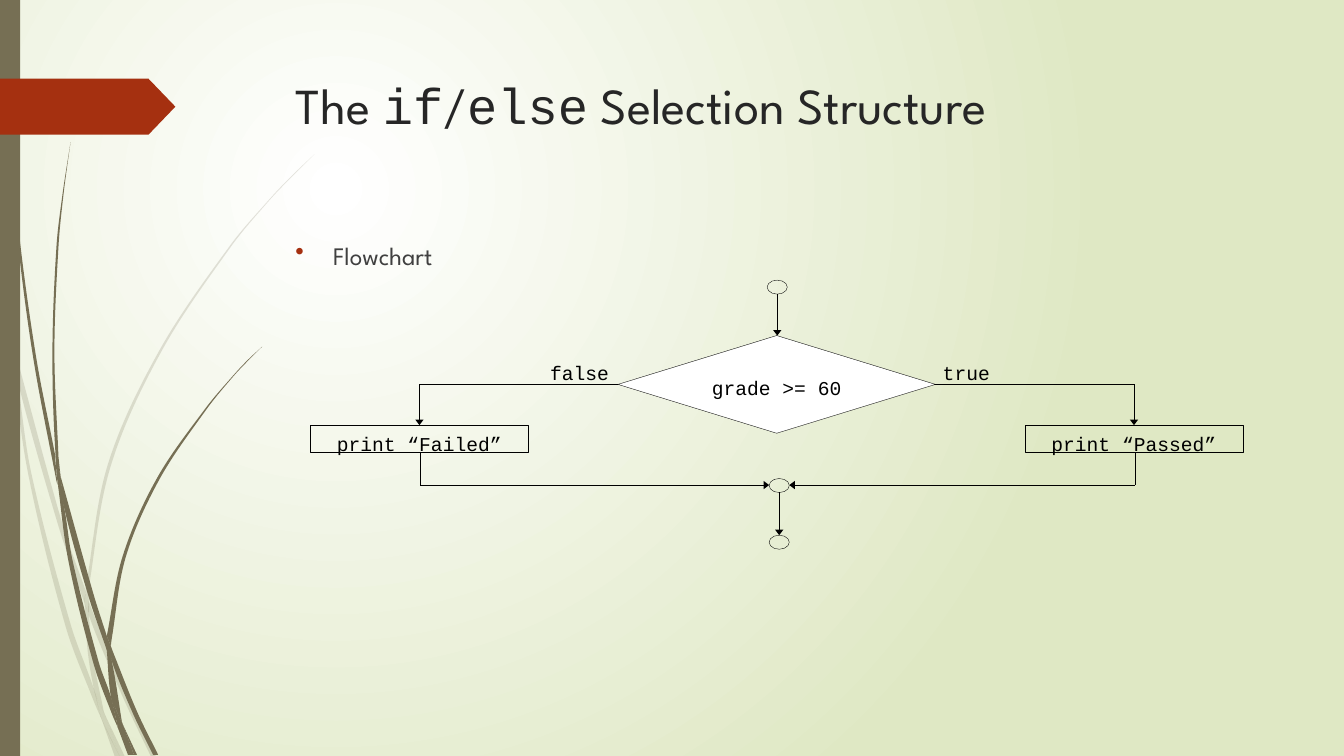
from math import dist

from lxml import etree
from pptx import Presentation
from pptx.dml.color import RGBColor
from pptx.enum.shapes import MSO_CONNECTOR, MSO_SHAPE
from pptx.enum.text import MSO_ANCHOR, PP_ALIGN
from pptx.oxml import parse_xml
from pptx.oxml.ns import nsdecls, qn
from pptx.util import Pt

STRAIGHT = MSO_CONNECTOR.STRAIGHT
RECTANGLE, OVAL = MSO_SHAPE.RECTANGLE, MSO_SHAPE.OVAL
DIAMOND, PENTAGON = MSO_SHAPE.DIAMOND, MSO_SHAPE.PENTAGON
TOP = MSO_ANCHOR.TOP
LEFT, CENTER = PP_ALIGN.LEFT, PP_ALIGN.CENTER

BLACK = RGBColor(0x00, 0x00, 0x00)
WHITE = RGBColor(0xFF, 0xFF, 0xFF)
PALE_GREEN = RGBColor(0xDF, 0xE8, 0xC4)
OLIVE = RGBColor(0x76, 0x6F, 0x54)
RUST = RGBColor(0xA5, 0x30, 0x10)
TITLE_GRAY = RGBColor(0x26, 0x26, 0x26)
BODY_GRAY = RGBColor(0x40, 0x40, 0x40)

SANS, MONO = "League Spartan", "Courier New"
GRID = Pt(0.72)

FAINT_BLADES = [
    ([(11, 350), (9, 322), (0, 282)], [(0, 299), (10, 344), (11, 350)]),
    ([(14, 345), (17, 376), (58, 522), (84, 599)], [(85, 586), (62, 520), (14, 345)]),
    ([(88, 596), (88, 610), (123, 694), (150, 751)], [(155, 751), (127, 692), (92, 607), (88, 596)]),
    ([(119, 751), (124, 751)], [(105, 711), (119, 751)]),
    ([(11, 350), (28, 470), (65, 621), (92, 693), (101, 714)],
     [(99, 707), (93, 683), (70, 619), (31, 469), (17, 376), (11, 350)]),
    ([(84, 599), (87, 646), (93, 683), (96, 692), (105, 711)],
     [(103, 706), (91, 646), (88, 610), (84, 599)]),
    ([(312, 153), (289, 175), (268, 197), (228, 244), (158, 348), (107, 461), (85, 584)],
     [(88, 596), (88, 584), (110, 462), (160, 349), (229, 245), (268, 198), (290, 175),
      (312, 153)]),
    ([(101, 714), (114, 751)], [(119, 751), (101, 714)]),
    ([(85, 586), (84, 599), (88, 608)], [(88, 610), (88, 596), (85, 586)]),
    ([(93, 683), (99, 707), (101, 714), (119, 751)], [(105, 711), (96, 692), (93, 683)]),
]
SOLID_BLADES = [
    ([(3, 0), (4, 48), (7, 110), (17, 233), (33, 355), (56, 477), (57, 481)],
     [(55, 457), (55, 453), (36, 355), (19, 232), (8, 109), (5, 48), (4, 0)]),
    ([(60, 472), (64, 505), (88, 592), (106, 645)], [(106, 631), (93, 590), (60, 472)]),
    ([(110, 641), (111, 656), (132, 708), (152, 749)],
     [(157, 749), (136, 706), (113, 649), (110, 641)]),
    ([(57, 477), (68, 557), (93, 659), (111, 708), (117, 722)],
     [(116, 717), (110, 691), (98, 657), (72, 556), (64, 505), (57, 477)]),
    ([(70, 141), (62, 193), (56, 245), (52, 349), (55, 449), (60, 472)],
     [(58, 453), (54, 349), (58, 245), (63, 193), (70, 141)]),
    ([(133, 749), (136, 749)], [(122, 719), (133, 749)]),
    ([(55, 449), (57, 477), (64, 505)], [(60, 472), (55, 449)]),
    ([(260, 344), (245, 358), (231, 373), (204, 405), (156, 474), (122, 551), (106, 631)],
     [(110, 641), (111, 633), (125, 552), (158, 476), (205, 406), (231, 374), (245, 359),
      (260, 344)]),
    ([(117, 722), (127, 749)], [(131, 749), (117, 722)]),
    ([(106, 645), (110, 691), (116, 706), (122, 719)], [(121, 716), (111, 656), (106, 645)]),
    ([(106, 631), (106, 645), (111, 656)], [(110, 641), (106, 631)]),
    ([(110, 691), (116, 717), (117, 722), (130, 749)],
     [(133, 749), (122, 719), (116, 706), (110, 691)]),
]


def paint(shape, fill=None, line=None):
    shape.shadow.inherit = False
    if fill is None:
        shape.fill.background()
    else:
        shape.fill.solid()
        shape.fill.fore_color.rgb = fill
    if line is None:
        shape.line.fill.background()
    else:
        shape.line.color.rgb = line
        shape.line.width = Pt(0.25)


def add_block(page, kind, left, top, width, height, fill=None, line=None):
    block = page.shapes.add_shape(kind, Pt(left), Pt(top), Pt(width), Pt(height))
    paint(block, fill, line)
    return block


def edge_handles(knots):
    padded = [knots[0], *knots, knots[-1]]
    slopes = [tuple((after - before) / (dist(a, b) + dist(b, c)) for before, after in zip(a, c))
              for a, b, c in zip(padded, padded[1:], padded[2:])]
    handles = []
    for start, end, leave, arrive in zip(knots, knots[1:], slopes, slopes[1:]):
        reach = dist(start, end) / 3
        handles.append([tuple(p + s * reach for p, s in zip(start, leave)),
                        tuple(p - s * reach for p, s in zip(end, arrive))])
    return handles


def add_blade(page, left_edge, right_edge, alpha):
    outline = [(x * GRID, y * GRID) for x, y in left_edge + right_edge]
    builder = page.shapes.build_freeform(*outline[0])
    builder.add_line_segments(outline[1:])
    blade = builder.convert_to_shape()
    paint(blade, OLIVE)
    handles = edge_handles(left_edge) + [None] + edge_handles(right_edge)
    segments = list(blade._element.spPr.iter(qn("a:lnTo")))
    for segment, pair in zip(segments, handles):
        if pair is None:
            continue
        curve = etree.Element(qn("a:cubicBezTo"))
        for x, y in pair:
            point = etree.SubElement(curve, qn("a:pt"))
            point.set("x", str(round(x * GRID - blade.left)))
            point.set("y", str(round(y * GRID - blade.top)))
        curve.append(segment[0])
        segment.getparent().replace(segment, curve)
    if alpha < 100:
        color = blade.fill._xPr.find(qn("a:solidFill"))[0]
        etree.SubElement(color, qn("a:alpha")).set("val", str(alpha * 1000))


def set_background(page):
    page.element.cSld.insert(0, parse_xml(
        f'<p:bg {nsdecls("p", "a")}><p:bgPr><a:gradFill rotWithShape="1"><a:gsLst>'
        f'<a:gs pos="0"><a:srgbClr val="{WHITE}"/></a:gs>'
        f'<a:gs pos="100000"><a:srgbClr val="{PALE_GREEN}"/></a:gs></a:gsLst>'
        '<a:path path="circle"><a:fillToRect l="50000" t="50000" r="100000" b="100000"/>'
        '</a:path></a:gradFill><a:effectLst/></p:bgPr></p:bg>'))


def add_decoration(page, height):
    for blades, alpha in ((FAINT_BLADES, 20), (SOLID_BLADES, 100)):
        for left_edge, right_edge in blades:
            add_blade(page, left_edge, right_edge, alpha)
    add_block(page, RECTANGLE, 0, 0, 14.4, height, OLIVE)
    tag = add_block(page, PENTAGON, 0, 56.2, 125.3, 40, RUST)
    tag.adjustments[0] = 0.48


def fill_title(page, left, top, width, height):
    title = page.shapes.title
    title.left, title.top, title.width, title.height = Pt(left), Pt(top), Pt(width), Pt(height)
    title.text_frame.vertical_anchor = TOP
    para = title.text_frame.paragraphs[0]
    para.alignment = LEFT
    para.font.size = Pt(36)
    para.font.color.rgb = TITLE_GRAY
    for text, font in (("The ", SANS), ("if", MONO), ("/", SANS), ("else", MONO),
                       (" Selection Structure", SANS)):
        span = para.add_run()
        span.text = text
        span.font.name = font


def add_body(page, left, top, width, height):
    box = page.shapes.add_textbox(Pt(left), Pt(top), Pt(width), Pt(height))
    box.text_frame.word_wrap = True
    para = box.text_frame.paragraphs[0]
    para.text = "Flowchart"
    para.space_before = Pt(10)
    para.font.size = Pt(18)
    para.font.name = SANS
    para.font.color.rgb = BODY_GRAY
    properties = para._p.get_or_add_pPr()
    properties.set("marL", str(Pt(27)))
    properties.set("indent", str(-Pt(27)))
    color = etree.SubElement(properties, qn("a:buClr"))
    etree.SubElement(color, qn("a:srgbClr")).set("val", str(RUST))
    etree.SubElement(properties, qn("a:buChar")).set("char", "•")
    properties.append(properties.find(qn("a:defRPr")))


def write_code(shape, text, alignment, inset=0):
    frame = shape.text_frame
    frame.margin_left = frame.margin_right = frame.margin_bottom = 0
    frame.margin_top = Pt(inset)
    frame.vertical_anchor = TOP
    frame.word_wrap = True
    para = frame.paragraphs[0]
    para.text = text
    para.alignment = alignment
    para.font.size = Pt(14)
    para.font.name = MONO
    para.font.color.rgb = BLACK


def add_flow(page, x1, y1, x2, y2, arrow=True):
    flow = page.shapes.add_connector(STRAIGHT, Pt(x1), Pt(y1), Pt(x2), Pt(y2))
    flow.line.color.rgb = BLACK
    flow.line.width = Pt(0.25)
    if arrow:
        head = etree.SubElement(flow.line._get_or_add_ln(), qn("a:tailEnd"))
        head.set("type", "triangle")
        head.set("len", "sm")
    etree.SubElement(flow._element.spPr, qn("a:effectLst"))


def add_flowchart(page, left, top, width):
    axis = left + width / 2
    lower_axis = axis + 1.8
    decision_y, process_y, merge_y = top + 74.4, top + 103.6, top + 146.4
    process_width, process_height = 155.8, 19.4
    for x, y in ((axis + 0.4, top), (lower_axis, top + 141.7), (lower_axis, top + 182.2)):
        add_block(page, OVAL, x - 7.2, y, 14.4, 10, line=BLACK)
    add_flow(page, axis + 0.4, top + 10, axis + 0.4, top + 39.6)
    add_flow(page, lower_axis, top + 151.7, lower_axis, top + 182.2)

    decision = add_block(page, DIAMOND, axis - 113.4, top + 39.6, 226.8, 69.8, WHITE, BLACK)
    write_code(decision, "grade >= 60", CENTER, 11.2)

    for side, label, label_x, outcome in ((-1, "false", -161.8, "print “Failed”"),
                                          (1, "true", 118.6, "print “Passed”")):
        branch = axis + side * (width - process_width) / 2
        caption = page.shapes.add_textbox(Pt(axis + label_x), Pt(top + 57.7), Pt(60), Pt(19.4))
        write_code(caption, label, LEFT)
        add_flow(page, axis + side * 113.4, decision_y, branch, decision_y, arrow=False)
        add_flow(page, branch, decision_y, branch, process_y)
        process = add_block(page, RECTANGLE, branch - process_width / 2, process_y,
                            process_width, process_height, line=BLACK)
        write_code(process, outcome, CENTER, 5)
        exit_x = branch + 0.7
        add_flow(page, exit_x, process_y + process_height, exit_x, merge_y, arrow=False)
        add_flow(page, exit_x, merge_y, lower_axis + side * 7.2, merge_y)


def main():
    deck = Presentation()
    deck.slide_width, deck.slide_height = Pt(960), Pt(540)
    page = deck.slides.add_slide(deck.slide_layouts[5])
    set_background(page)
    add_decoration(page, 540)
    fill_title(page, 204.1, 49, 702, 100.8)
    add_body(page, 203.8, 167.8, 702, 297.4)
    add_flowchart(page, 221.7, 200.1, 666.2)
    deck.save("out.pptx")


if __name__ == "__main__":
    main()
